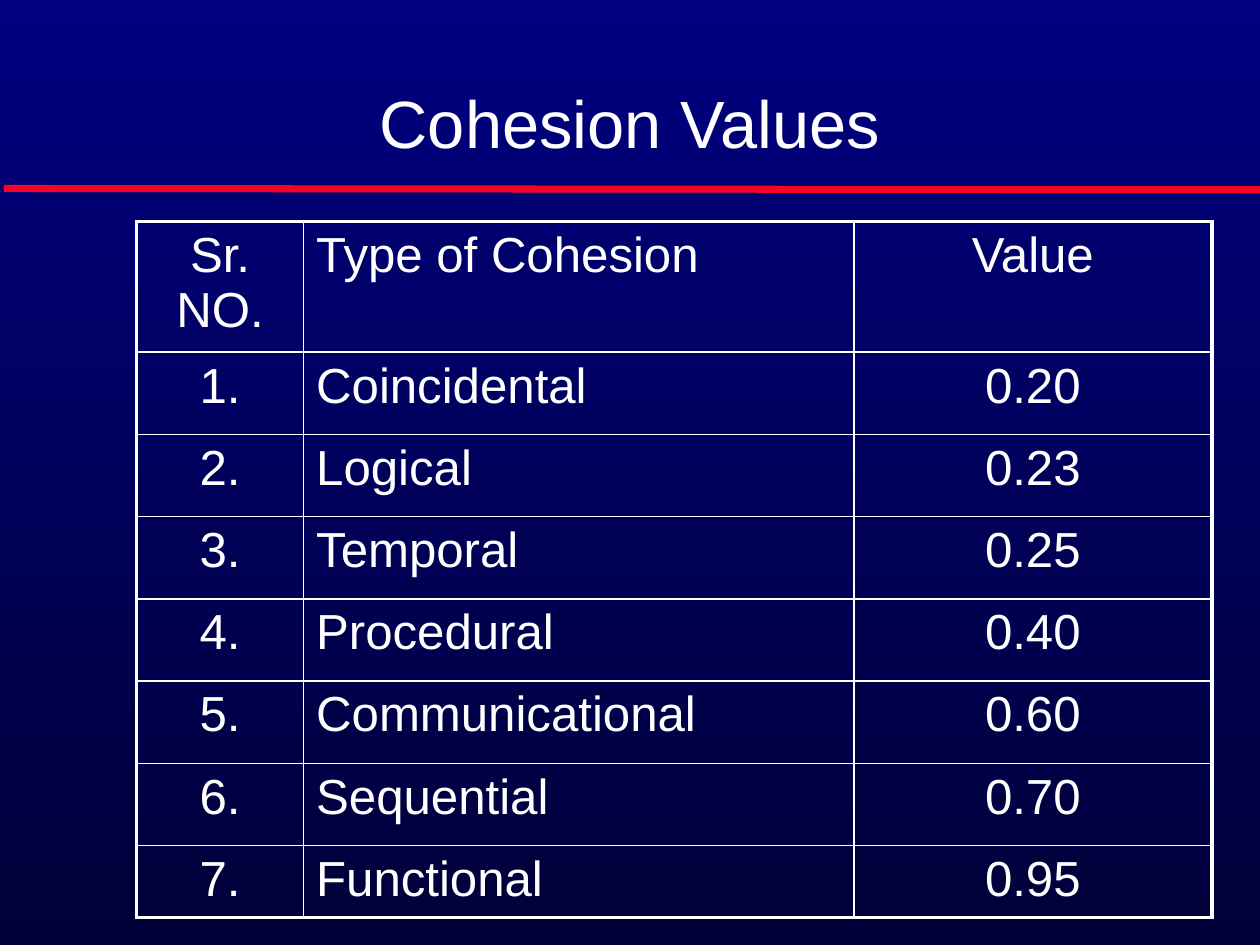
"""Build the Cohesion Values slide: title, red rule and a bordered table."""
from lxml import etree
from pptx import Presentation
from pptx.dml.color import RGBColor
from pptx.enum.shapes import MSO_CONNECTOR
from pptx.enum.text import MSO_ANCHOR, PP_ALIGN
from pptx.oxml.ns import qn
from pptx.util import Inches, Pt

LEFT, CENTER = PP_ALIGN.LEFT, PP_ALIGN.CENTER
BOTTOM = MSO_ANCHOR.BOTTOM
STRAIGHT = MSO_CONNECTOR.STRAIGHT

TITLE = "Cohesion Values"
HEADER = ("Sr. NO.", "Type of Cohesion", "Value")
COHESION = [
    ("Coincidental", "0.20"),
    ("Logical", "0.23"),
    ("Temporal", "0.25"),
    ("Procedural", "0.40"),
    ("Communicational", "0.60"),
    ("Sequential", "0.70"),
    ("Functional", "0.95"),
]
ALIGNS = (CENTER, LEFT, CENTER)
COL_WIDTHS = (1.32, 4.35, 2.83)
ROW_HEIGHTS = [1] + [0.65] * (len(COHESION) - 1) + [0.55]
WIDTH, HEIGHT = 9.96, 7.47
TABLE_LEFT, TABLE_TOP = 1.08, 1.75
FONT, WHITE, RED = "Arial", "FFFFFF", "FC0128"
BACKGROUND = ("000080", "000038")
OUTER, INNER = 2.25, 1


def rgb(color):
    return RGBColor.from_string(color)


def write(tf, text, size, align):
    tf.text = text
    p = tf.paragraphs[0]
    p.alignment = align
    font = p.runs[0].font
    font.name, font.size = FONT, Pt(size)
    font.color.rgb = rgb(WHITE)


def add_border(cell, side, width):
    tc_pr = cell._tc.get_or_add_tcPr()
    ln = etree.SubElement(tc_pr, qn("a:ln" + side), w=str(Pt(width)))
    fill = etree.SubElement(ln, qn("a:solidFill"))
    etree.SubElement(fill, qn("a:srgbClr"), val=WHITE)


def add_background(s):
    fill = s.background.fill
    fill.gradient()
    fill.gradient_angle = 270
    for stop, color in zip(fill.gradient_stops, BACKGROUND):
        stop.color.rgb = rgb(color)


def add_rule(s):
    line = s.shapes.add_connector(
        STRAIGHT, Inches(0.03), Inches(1.49), Inches(WIDTH), Inches(1.5))
    line.line.color.rgb = rgb(RED)
    line.line.width = Pt(4)
    etree.SubElement(line._element.spPr, qn("a:effectLst"))


def add_title(s):
    sp = s.shapes.add_textbox(Inches(0.73), Inches(0.33), Inches(8.5), Inches(1))
    tf = sp.text_frame
    tf.word_wrap = True
    tf.vertical_anchor = BOTTOM
    write(tf, TITLE, 38, CENTER)


def add_cohesion_table(s):
    rows = [HEADER] + [(f"{i}.", *row) for i, row in enumerate(COHESION, 1)]
    last_row, last_col = len(rows) - 1, len(HEADER) - 1
    table = s.shapes.add_table(
        len(rows), len(HEADER), Inches(TABLE_LEFT), Inches(TABLE_TOP),
        Inches(sum(COL_WIDTHS)), Inches(sum(ROW_HEIGHTS))).table
    table.first_row = table.horz_banding = False
    for column, width in zip(table.columns, COL_WIDTHS):
        column.width = Inches(width)
    for row, height in zip(table.rows, ROW_HEIGHTS):
        row.height = Inches(height)
    for r, texts in enumerate(rows):
        for c, text in enumerate(texts):
            cell = table.cell(r, c)
            write(cell.text_frame, text, 28, ALIGNS[c])
            edges = {"L": c == 0, "R": c == last_col, "T": r == 0, "B": r == last_row}
            for side, outer in edges.items():
                add_border(cell, side, OUTER if outer else INNER)
            cell.fill.background()


def main():
    prs = Presentation()
    prs.slide_width, prs.slide_height = Inches(WIDTH), Inches(HEIGHT)
    s = prs.slides.add_slide(prs.slide_layouts[6])
    add_background(s)
    add_rule(s)
    add_title(s)
    add_cohesion_table(s)
    prs.save("out.pptx")


if __name__ == "__main__":
    main()
